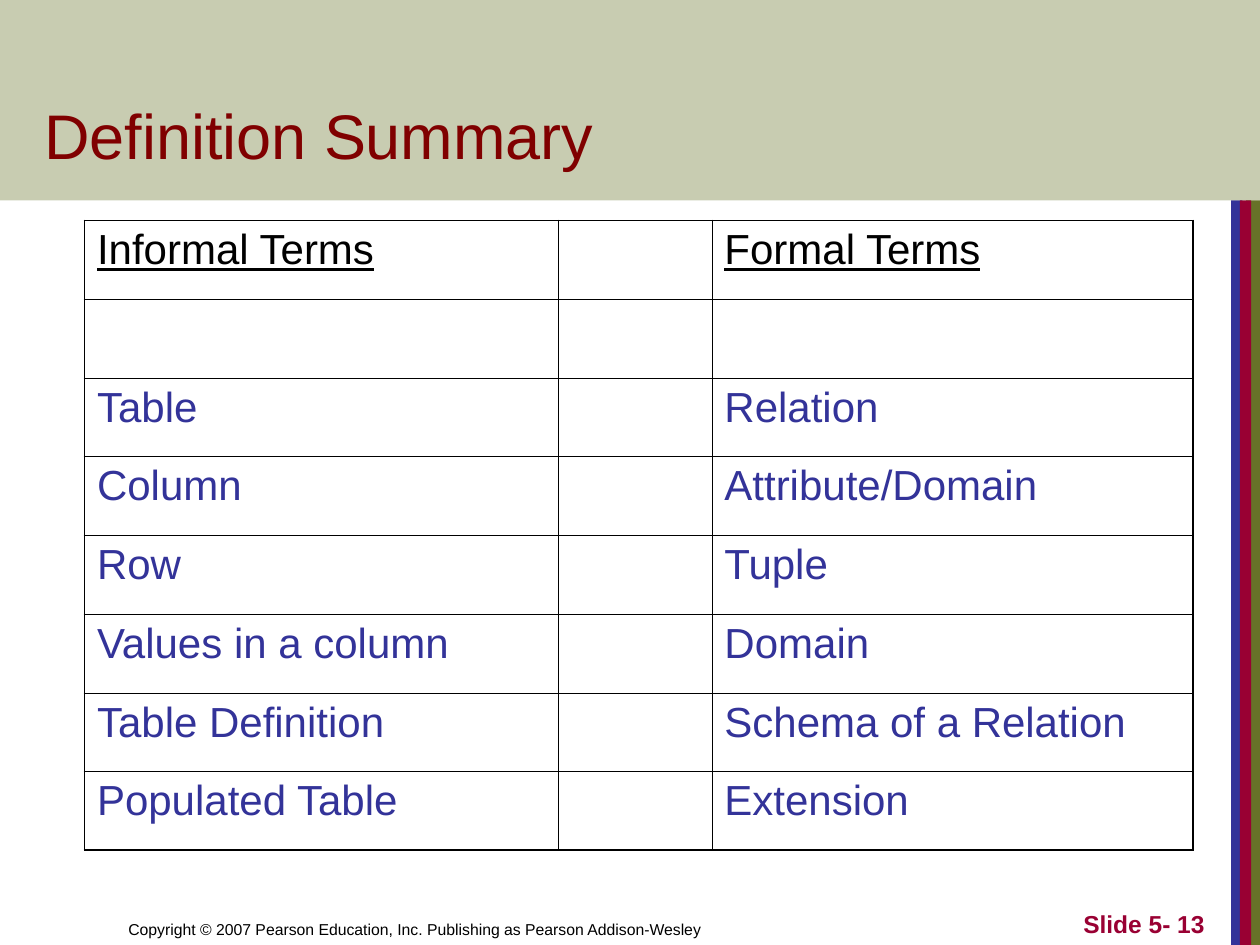
from dataclasses import dataclass

from lxml.etree import SubElement
from pptx import Presentation
from pptx.dml.color import RGBColor
from pptx.enum.shapes import MSO_SHAPE
from pptx.enum.text import MSO_ANCHOR, PP_ALIGN
from pptx.oxml.ns import qn
from pptx.util import Inches, Pt


@dataclass(frozen=True)
class Theme:
    font: str = "Arial"
    olive: str = "677228"
    blue: str = "333399"
    crimson: str = "990033"
    maroon: str = "800000"
    black: str = "000000"
    band_opacity: int = 36
    title_size: int = 36
    table_size: int = 24
    number_size: int = 14
    copyright_size: int = 9
    outer_line: float = 1.08
    inner_line: float = 0.45


THEME = Theme()
TERMS = [
    ("Informal Terms", "Formal Terms"),
    ("", ""),
    ("Table", "Relation"),
    ("Column", "Attribute/Domain"),
    ("Row", "Tuple"),
    ("Values in a column", "Domain"),
    ("Table Definition", "Schema of a Relation"),
    ("Populated Table", "Extension"),
]


def apply_format(target, values):
    for name, value in values.items():
        setattr(target, name, value)


def write_text(frame, text, size, color, alignment=PP_ALIGN.LEFT, **font_values):
    frame.text = text
    paragraph = frame.paragraphs[0]
    paragraph.alignment = alignment
    font = paragraph.runs[0].font
    apply_format(font, {"name": THEME.font, "size": Pt(size), **font_values})
    font.color.rgb = RGBColor.from_string(color)


def add_block(slide, box, color):
    block = slide.shapes.add_shape(MSO_SHAPE.RECTANGLE, *map(Inches, box))
    block.shadow.inherit = False
    block.fill.solid()
    block.fill.fore_color.rgb = RGBColor.from_string(color)
    block.line.fill.background()
    return block


def add_header_band(slide, box):
    band = add_block(slide, box, THEME.olive)
    color = band.fill._xPr.find(qn("a:solidFill"))[0]
    SubElement(color, qn("a:alpha"), val=str(THEME.band_opacity * 1000))


def add_side_stripes(slide, box):
    left, top, width, height = box
    stripes = [
        (0.12, width - 0.12, THEME.olive),
        (0, 0.09, THEME.blue),
        (0.07, 0.09, THEME.crimson),
    ]
    for offset, stripe_width, color in stripes:
        add_block(slide, (left + offset, top, stripe_width, height), color)


def place_title(slide, box, text):
    title = slide.shapes.title
    left, top, width, height = map(Inches, box)
    apply_format(title, {"left": left, "top": top, "width": width, "height": height})
    apply_format(title.text_frame, {"vertical_anchor": MSO_ANCHOR.BOTTOM, "word_wrap": True})
    write_text(title.text_frame, text, THEME.title_size, THEME.maroon)
    slide.shapes._spTree.append(title._element)


def add_footer(slide, box):
    left, top, width, height = box
    copyright_width, number_width = 4.92, 2.08
    parts = [
        (left, copyright_width,
         "Copyright © 2007 Pearson Education, Inc. Publishing as Pearson Addison-Wesley",
         {"size": THEME.copyright_size, "color": THEME.black}),
        (left + width - number_width, number_width, "Slide 5- 13",
         {"size": THEME.number_size, "color": THEME.crimson,
          "alignment": PP_ALIGN.RIGHT, "bold": True}),
    ]
    for part_left, part_width, text, values in parts:
        shape = slide.shapes.add_textbox(*map(Inches, (part_left, top, part_width, height)))
        apply_format(shape.text_frame, {"word_wrap": True, "vertical_anchor": MSO_ANCHOR.BOTTOM})
        write_text(shape.text_frame, text, **values)


def set_borders(cell, outer_sides):
    properties = cell._tc.get_or_add_tcPr()
    for side, is_outer in outer_sides.items():
        width = THEME.outer_line if is_outer else THEME.inner_line
        line = SubElement(properties, qn(f"a:ln{side}"), w=str(Pt(width)))
        fill = SubElement(line, qn("a:solidFill"))
        SubElement(fill, qn("a:srgbClr"), val=THEME.black)


def add_terms_table(slide, box):
    left, top, width, height = box
    column_widths = (3.76, 1.22, width - 3.76 - 1.22)
    row_count, column_count = len(TERMS), len(column_widths)
    table = slide.shapes.add_table(row_count, column_count, *map(Inches, box)).table
    apply_format(table, {"first_row": False, "horz_banding": False})
    for column, column_width in zip(table.columns, column_widths):
        column.width = Inches(column_width)
    for row_index, (informal, formal) in enumerate(TERMS):
        table.rows[row_index].height = Inches(height / row_count)
        is_heading = row_index == 0
        color = THEME.black if is_heading else THEME.blue
        for column_index, text in enumerate((informal, "", formal)):
            cell = table.cell(row_index, column_index)
            set_borders(cell, {
                "L": column_index == 0,
                "R": column_index == column_count - 1,
                "T": is_heading,
                "B": row_index == row_count - 1,
            })
            cell.fill.background()
            if text:
                write_text(cell.text_frame, text, THEME.table_size, color, underline=is_heading)


def main():
    presentation = Presentation()
    apply_format(presentation, {"slide_width": Inches(10), "slide_height": Inches(7.5)})
    slide = presentation.slides.add_slide(presentation.slide_layouts[5])
    add_side_stripes(slide, (9.77, 1.59, 0.23, 5.91))
    add_header_band(slide, (0, 0, 10, 1.59))
    add_footer(slide, (0.92, 7, 8.74, 0.5))
    place_title(slide, (0.25, 0.33, 8.53, 1.09), "Definition Summary")
    add_terms_table(slide, (0.67, 1.75, 8.8, 5))
    presentation.save("out.pptx")


if __name__ == "__main__":
    main()
